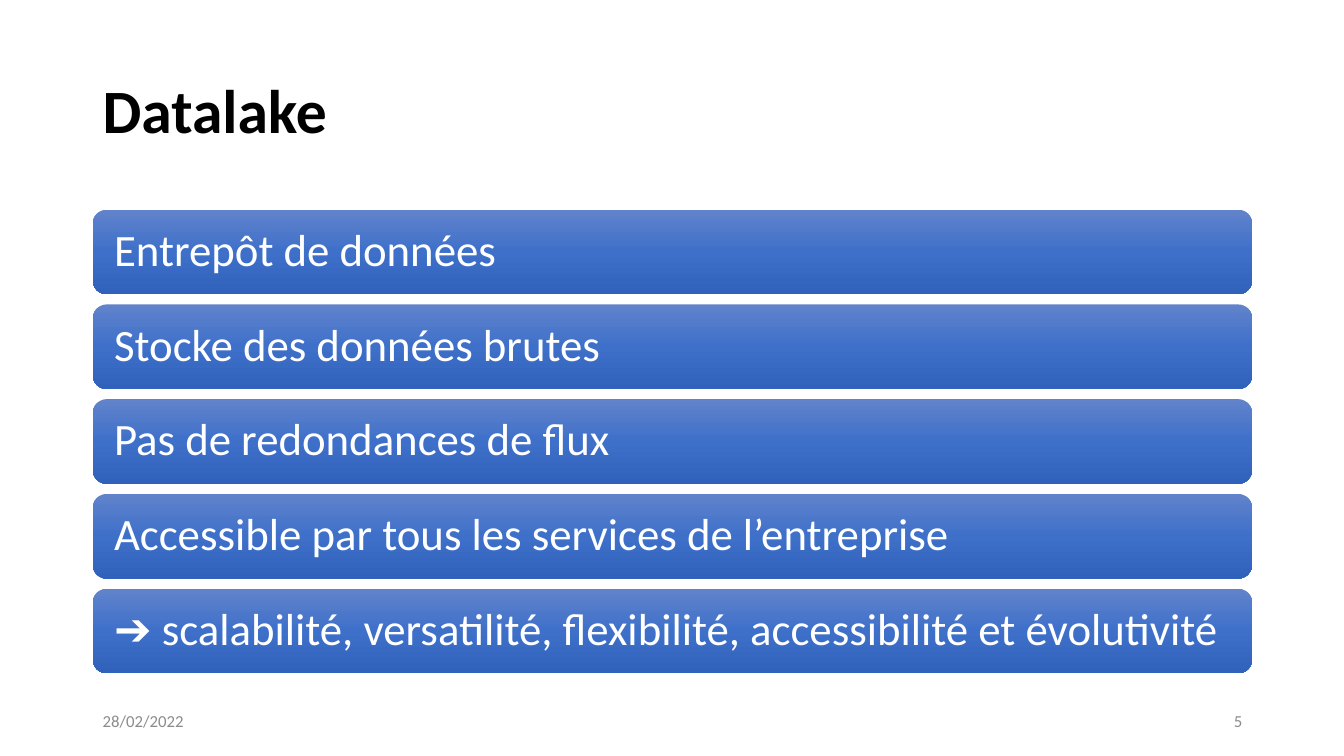
from copy import deepcopy

from pptx import Presentation
from pptx import util as u
from pptx.dml.color import RGBColor
from pptx.enum import shapes, text

TITLE = "Datalake"
FEATURES = [
    "Entrepôt de données",
    "Stocke des données brutes",
    "Pas de redondances de flux",
    "Accessible par tous les services de l’entreprise",
    "➔ scalabilité, versatilité, flexibilité, accessibilité et évolutivité",
]
DATE = "28/02/2022"
PAGE = "5"

COLORS = {"title": "000000", "bar_text": "FFFFFF", "footer": "8C8C8C"}
BAR_GRADIENT = [(0, "6183CB"), (0.5, "3E70CA"), (1, "3062BB")]
FONT = "Calibri"

WIDTH, HEIGHT = 13.33, 7.5
MARGIN = 0.92
CONTENT_WIDTH = 11.5
BAR_TOP, BAR_HEIGHT, BAR_PITCH = 2.08, 0.84, 0.94
BAR_INSET = 0.17
FOOTER_TOP, FOOTER_WIDTH, FOOTER_HEIGHT = 6.95, 3, 0.4


def write(shape, content, size, color, bold=False, align=text.PP_ALIGN.LEFT, spacing=1.0):
    frame = shape.text_frame
    frame.text = content
    frame.word_wrap = True
    frame.vertical_anchor = text.MSO_ANCHOR.MIDDLE
    paragraph = frame.paragraphs[0]
    paragraph.alignment = align
    paragraph.line_spacing = spacing
    font = paragraph.runs[0].font
    font.name, font.size, font.bold = FONT, u.Pt(size), bold
    font.color.rgb = RGBColor.from_string(COLORS[color])


def add_text(slide, box, *args, **kwargs):
    shape = slide.shapes.add_textbox(*map(u.Inches, box))
    write(shape, *args, **kwargs)


def fill_gradient(shape):
    shape.fill.gradient()
    shape.fill.gradient_angle = 270
    first_stop = shape._element.spPr.xpath(".//a:gs")[0]
    first_stop.addnext(deepcopy(first_stop))
    for stop, (position, color) in zip(shape.fill.gradient_stops, BAR_GRADIENT):
        stop.position = position
        stop.color.rgb = RGBColor.from_string(color)


def add_bar(slide, row, content):
    box = (MARGIN, BAR_TOP + row * BAR_PITCH, CONTENT_WIDTH, BAR_HEIGHT)
    bar = slide.shapes.add_shape(shapes.MSO_SHAPE.ROUNDED_RECTANGLE, *map(u.Inches, box))
    bar.shadow.inherit = False
    bar.line.fill.background()
    fill_gradient(bar)
    frame = bar.text_frame
    frame.margin_left = frame.margin_right = u.Inches(BAR_INSET)
    write(bar, content, 32, "bar_text", spacing=0.9)


def main():
    presentation = Presentation()
    presentation.slide_width = u.Inches(WIDTH)
    presentation.slide_height = u.Inches(HEIGHT)
    slide = presentation.slides.add_slide(presentation.slide_layouts[6])

    add_text(slide, (MARGIN, 0.4, CONTENT_WIDTH, 1.45), TITLE, 44, "title", bold=True, spacing=0.9)
    for row, feature in enumerate(FEATURES):
        add_bar(slide, row, feature)

    page_left = MARGIN + CONTENT_WIDTH - FOOTER_WIDTH
    for left, content, align in [
        (MARGIN, DATE, text.PP_ALIGN.LEFT),
        (page_left, PAGE, text.PP_ALIGN.RIGHT),
    ]:
        box = (left, FOOTER_TOP, FOOTER_WIDTH, FOOTER_HEIGHT)
        add_text(slide, box, content, 12, "footer", align=align)

    presentation.save("out.pptx")


if __name__ == "__main__":
    main()
